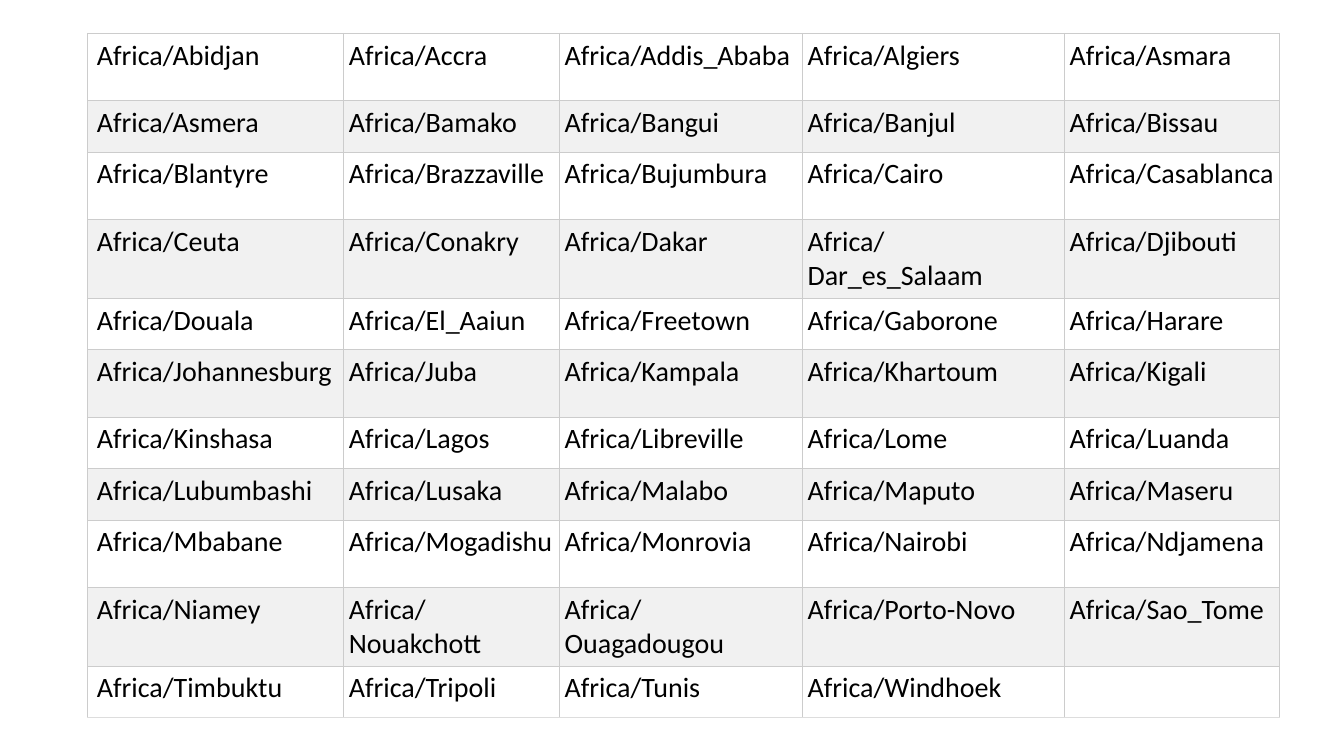
from lxml import etree
from pptx import Presentation
from pptx.dml.color import RGBColor
from pptx.oxml.ns import qn
from pptx.util import Inches, Pt

REGION = "Africa/"
CITY_ROWS = [
    ("Abidjan", "Accra", "Addis_Ababa", "Algiers", "Asmara"),
    ("Asmera", "Bamako", "Bangui", "Banjul", "Bissau"),
    ("Blantyre", "Brazzaville", "Bujumbura", "Cairo", "Casablanca"),
    ("Ceuta", "Conakry", "Dakar", "Dar_es_Salaam", "Djibouti"),
    ("Douala", "El_Aaiun", "Freetown", "Gaborone", "Harare"),
    ("Johannesburg", "Juba", "Kampala", "Khartoum", "Kigali"),
    ("Kinshasa", "Lagos", "Libreville", "Lome", "Luanda"),
    ("Lubumbashi", "Lusaka", "Malabo", "Maputo", "Maseru"),
    ("Mbabane", "Mogadishu", "Monrovia", "Nairobi", "Ndjamena"),
    ("Niamey", "Nouakchott", "Ouagadougou", "Porto-Novo", "Sao_Tome"),
    ("Timbuktu", "Tripoli", "Tunis", "Windhoek"),
]
COLUMN_WIDTHS = (2.54, 2.14, 2.41, 2.6, 2.13)
SHORT_ROW, TALL_ROW = 0.51, 0.67
TALL_ROWS = {0, 2, 3, 5, 8, 9}
LEFT, TOP = 0.87, 0.33
CELL_MARGIN, FIRST_MARGIN = 0.05, 0.09

BLACK = RGBColor(0x00, 0x00, 0x00)
BAND_FILLS = (RGBColor(0xFF, 0xFF, 0xFF), RGBColor(0xF1, 0xF1, 0xF1))
GRID_LINE = RGBColor(0xCC, 0xCC, 0xCC)
BOTTOM_LINE = RGBColor(0xDD, 0xDD, 0xDD)


def set_borders(cell, bottom_color):
    """Draw thin lines on all four sides of a cell."""
    properties = cell._tc.get_or_add_tcPr()
    sides = (("lnL", GRID_LINE), ("lnR", GRID_LINE), ("lnT", GRID_LINE), ("lnB", bottom_color))
    for position, (side, color) in enumerate(sides):
        line = etree.Element(qn(f"a:{side}"), w=str(Pt(0.75)))
        fill = etree.SubElement(line, qn("a:solidFill"))
        etree.SubElement(fill, qn("a:srgbClr"), val=str(color))
        properties.insert(position, line)


def format_cell(cell, text, fill_color, left_margin):
    """Write a time zone into a cell and set its look."""
    cell.margin_left = Inches(left_margin)
    cell.margin_right = cell.margin_top = cell.margin_bottom = Inches(CELL_MARGIN)
    cell.fill.solid()
    cell.fill.fore_color.rgb = fill_color
    cell.text = text
    font = cell.text_frame.paragraphs[0].font
    font.name, font.size = "Calibri", Pt(20)
    font.color.rgb = BLACK


deck = Presentation()
deck.slide_width, deck.slide_height = Inches(13.33), Inches(7.5)
page = deck.slides.add_slide(deck.slide_layouts[6])

row_heights = [TALL_ROW if row in TALL_ROWS else SHORT_ROW for row in range(len(CITY_ROWS))]
zones = page.shapes.add_table(
    len(CITY_ROWS), len(COLUMN_WIDTHS), Inches(LEFT), Inches(TOP),
    Inches(sum(COLUMN_WIDTHS)), Inches(sum(row_heights)),
).table
zones.first_row = zones.horz_banding = False
for column, width in zip(zones.columns, COLUMN_WIDTHS):
    column.width = Inches(width)

last_row = len(CITY_ROWS) - 1
for row, (cities, height) in enumerate(zip(CITY_ROWS, row_heights)):
    zones.rows[row].height = Inches(height)
    for column in range(len(COLUMN_WIDTHS)):
        cell = zones.cell(row, column)
        text = REGION + cities[column] if column < len(cities) else ""
        margin = CELL_MARGIN if column else FIRST_MARGIN
        format_cell(cell, text, BAND_FILLS[row % 2], margin)
        set_borders(cell, BOTTOM_LINE if row == last_row else GRID_LINE)

deck.save("out.pptx")
